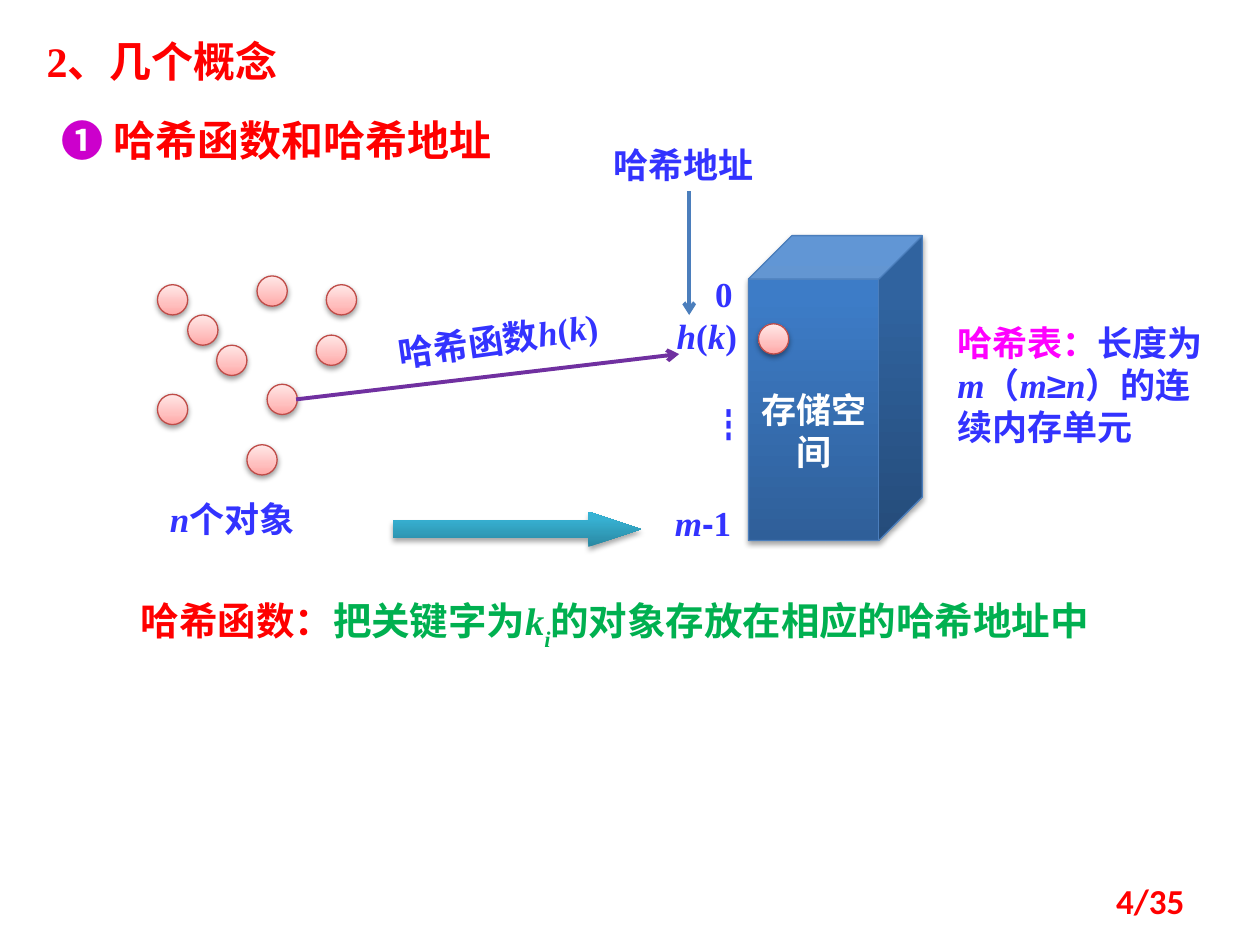
from dataclasses import dataclass
from lxml.etree import SubElement
from pptx import Presentation
from pptx.dml.color import RGBColor
from pptx.enum.shapes import MSO_CONNECTOR, MSO_SHAPE
from pptx.enum.text import MSO_ANCHOR, MSO_AUTO_SIZE, PP_ALIGN
from pptx.oxml.ns import qn
from pptx.util import Emu, Pt

PX = 9144
SERIF, CJK, SANS, PAGE = "Times New Roman", "Noto Sans CJK SC", "Arial", "Calibri"


@dataclass(frozen=True)
class Theme:
    red: str = "FF0000"
    blue: str = "3333FF"
    green: str = "00B050"
    magenta: str = "FF00FF"
    violet: str = "CC00CC"
    white: str = "FFFFFF"
    pointer: str = "4B7EBC"
    mapping: str = "7030A0"
    ball_edge: str = "BF4C48"
    ball: tuple = ((0, "FFA6A5"), (35, "FFC0BF"), (100, "FFE7E7"))
    storage: tuple = ((0, "2F5F99"), (80, "3D7CC7"), (100, "3A7CCB"))
    arrow: tuple = ((0, "2A88A2"), (80, "37B1D2"), (100, "34B4D6"))
    heading: int = 24
    statement: int = 22
    label: int = 20


THEME = Theme()
BALL = 24


def px(*lengths):
    return [Emu(length * PX) for length in lengths]


def write(paragraph, runs, size):
    for words, color, face, *style in runs:
        run = paragraph.add_run()
        run.text = words
        font = run.font
        font.size, font.bold, font.name = Pt(size), True, face
        font.italic = "italic" in style
        font.color.rgb = RGBColor.from_string(color)
        SubElement(font._element, qn("a:ea")).set("typeface", CJK)
        if "sub" in style:
            font._element.set("baseline", "-30000")


def label(slide, box, runs, size=THEME.label, align=PP_ALIGN.LEFT, rotation=0):
    holder = slide.shapes.add_textbox(*px(*box))
    holder.rotation = rotation
    holder.text_frame.word_wrap = True
    paragraph = holder.text_frame.paragraphs[0]
    paragraph.alignment = align
    write(paragraph, runs, size)
    return holder


def solid(slide, kind, box, stops, edge=None, shade=(38, 1.6)):
    body = slide.shapes.add_shape(kind, *px(*box))
    body.fill.gradient()
    body.fill.gradient_angle = 90
    properties = body._element.spPr
    stop_list = properties.find(qn("a:gradFill")).find(qn("a:gsLst"))
    for old in list(stop_list):
        stop_list.remove(old)
    for position, color in stops:
        stop = SubElement(stop_list, qn("a:gs"), pos=str(position * 1000))
        SubElement(stop, qn("a:srgbClr"), val=color)
    if edge:
        body.line.color.rgb = RGBColor.from_string(edge)
        body.line.width = Pt(0.75)
    else:
        body.line.fill.background()
    body.shadow.inherit = False
    opacity, distance = shade
    shadow = SubElement(properties.find(qn("a:effectLst")), qn("a:outerShdw"),
                        blurRad=str(Pt(3.1)), dist=str(Pt(distance)),
                        dir="5400000", rotWithShape="0")
    black = SubElement(shadow, qn("a:srgbClr"), val="000000")
    SubElement(black, qn("a:alpha"), val=str(opacity * 1000))
    return body


def ball(slide, left, top):
    solid(slide, MSO_SHAPE.OVAL, (left, top, BALL, BALL), THEME.ball, THEME.ball_edge)


def pointer(slide, start, end, color):
    line = slide.shapes.add_connector(MSO_CONNECTOR.STRAIGHT, *px(*start, *end))
    line.line.color.rgb = RGBColor.from_string(color)
    line.line.width = Pt(2.25)
    SubElement(line.line._get_or_add_ln(), qn("a:tailEnd"), type="arrow")
    SubElement(line._element.spPr, qn("a:effectLst"))


def headings(slide, left, top):
    title = slide.shapes.title
    title.left, title.top, title.width, title.height = px(left, top, 250, 50)
    frame = title.text_frame
    frame.auto_size = MSO_AUTO_SIZE.NONE
    frame.vertical_anchor = MSO_ANCHOR.TOP
    frame.paragraphs[0].alignment = PP_ALIGN.LEFT
    write(frame.paragraphs[0], [("2、几个概念", THEME.red, SERIF)], THEME.heading)
    label(slide, (left + 12, top + 63, 391, 50),
          [("❶ ", THEME.violet, CJK), ("哈希函数和哈希地址", THEME.red, CJK)], THEME.heading)


def objects(slide, left, top):
    centers = [(0, 7), (24, 31), (47, 55), (79, 0), (0, 94),
               (87, 86), (126, 47), (71, 134), (134, 7)]
    for across, down in centers:
        ball(slide, left + across, top + down)
    label(slide, (left, top + 171, 133, 44),
          [("n", THEME.blue, SERIF, "italic"), ("个对象", THEME.blue, SERIF)])


def hash_of_key():
    return [("h", THEME.blue, SERIF, "italic"), ("(", THEME.blue, SERIF),
            ("k", THEME.blue, SERIF, "italic"), (")", THEME.blue, SERIF)]


def mapping(slide, left, top):
    label(slide, (left + 71, top, 186, 44),
          [("哈希", THEME.blue, CJK), ("函数", THEME.blue, SERIF), *hash_of_key()],
          rotation=351.9)
    pointer(slide, (left, top + 70), (left + 304, top + 34), THEME.mapping)
    arrow = solid(slide, MSO_SHAPE.RIGHT_ARROW, (left + 77, top + 159, 197, 28),
                  THEME.arrow, shade=(35, 1.8))
    arrow.adjustments[0], arrow.adjustments[1] = 0.5, 1.5


def storage(slide, left, top):
    cube = solid(slide, MSO_SHAPE.CUBE, (left, top, 138, 242),
                 THEME.storage, THEME.pointer, (35, 1.8))
    cube.adjustments[0] = 0.25
    frame = cube.text_frame
    frame.word_wrap = True
    frame.vertical_anchor = MSO_ANCHOR.MIDDLE
    frame.margin_top = px(38)[0]
    frame.paragraphs[0].alignment = PP_ALIGN.CENTER
    write(frame.paragraphs[0], [("存储空间", THEME.white, CJK)], THEME.label)
    ball(slide, left + 8, top + 70)


def addresses(slide, left, top):
    label(slide, (left, top, 148, 44), [("哈希地址", THEME.blue, SERIF)])
    pointer(slide, (left + 70, top + 43), (left + 70, top + 141), THEME.pointer)
    slots = [
        ((78, 102, 39), [("0", THEME.blue, SERIF)]),
        ((41, 136, 86), hash_of_key()),
        ((78, 206, 39), [("┇", THEME.blue, CJK)]),
        ((46, 284, 70), [("m", THEME.blue, SERIF, "italic"),
                         ("-", THEME.blue, SANS), ("1", THEME.blue, SERIF)]),
    ]
    for (across, down, width), runs in slots:
        label(slide, (left + across, top + down, width, 44), runs, align=PP_ALIGN.CENTER)


def table_note(slide, left, top):
    label(slide, (left, top, 227, 111), [
        ("哈希表：", THEME.magenta, CJK), ("长度为", THEME.blue, SERIF),
        ("m", THEME.blue, SERIF, "italic"), ("（", THEME.blue, SERIF),
        ("m", THEME.blue, SERIF, "italic"), ("≥", THEME.blue, SANS),
        ("n", THEME.blue, SERIF, "italic"), ("）的连续内存单元", THEME.blue, SERIF)])


def statement(slide, left, top):
    label(slide, (left, top, 820, 47), [
        ("哈希", THEME.red, CJK), ("函数：", THEME.red, SERIF),
        ("把关键字为", THEME.green, SERIF), ("k", THEME.green, SERIF, "italic"),
        ("i", THEME.green, SERIF, "italic", "sub"),
        ("的对象存放在相应的哈希地址中", THEME.green, SERIF)], THEME.statement)


def page_number(slide, left, top):
    number = label(slide, (left, top, 233, 40), [("4/35", THEME.red, PAGE)],
                   align=PP_ALIGN.RIGHT)
    number.text_frame.vertical_anchor = MSO_ANCHOR.MIDDLE


def main():
    deck = Presentation()
    deck.slide_width, deck.slide_height = px(1000, 750)
    slide = deck.slides.add_slide(deck.slide_layouts[5])
    headings(slide, 27, 23)
    statement(slide, 102, 469)
    storage(slide, 594, 187)
    objects(slide, 125, 219)
    mapping(slide, 235, 247)
    addresses(slide, 477, 109)
    table_note(slide, 750, 250)
    page_number(slide, 717, 695)
    deck.save("out.pptx")


if __name__ == "__main__":
    main()
